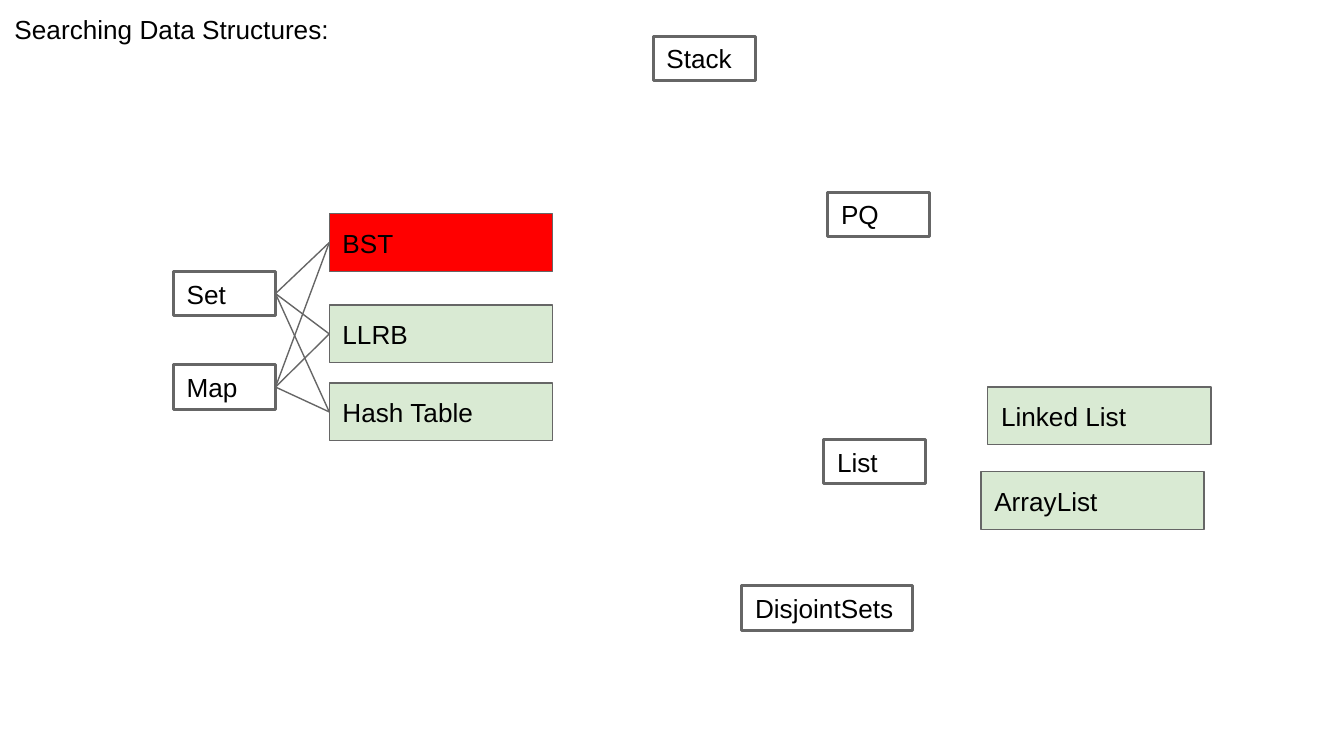
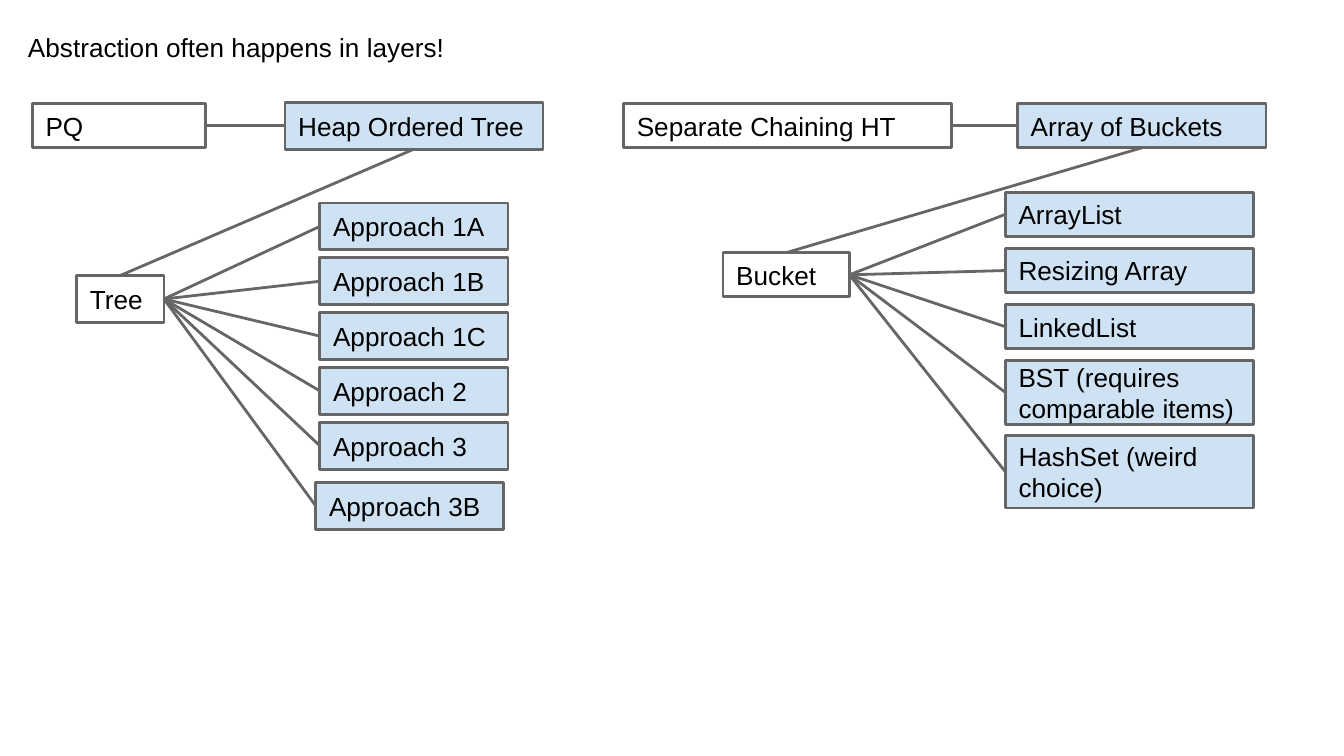
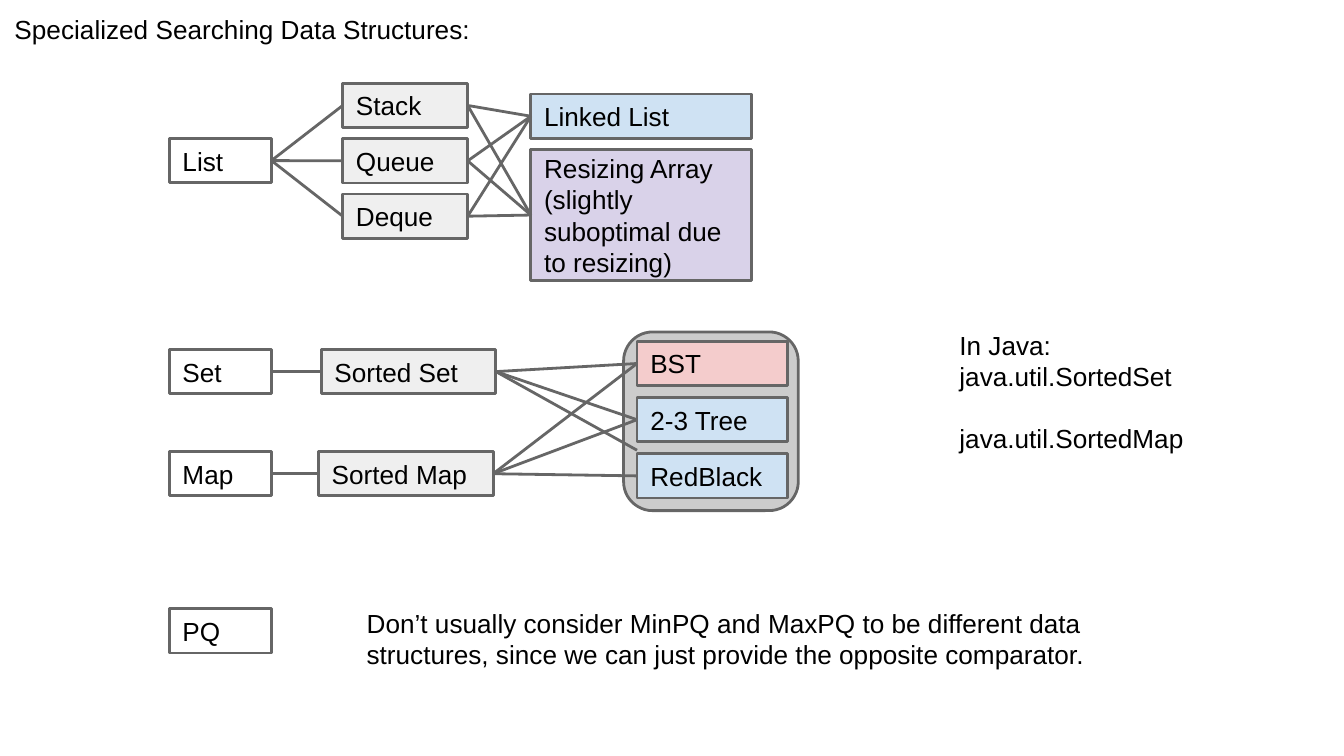
from itertools import product

from lxml.etree import SubElement
from pptx import Presentation
from pptx.dml.color import RGBColor
from pptx.enum.shapes import MSO_CONNECTOR as Connector, MSO_SHAPE as Shape
from pptx.enum.text import MSO_ANCHOR as Anchor, PP_ALIGN as Align
from pptx.oxml.ns import qn
from pptx.util import Inches, Pt

COLUMNS, ROWS = 100, 56.25
CELL = Inches(0.1)

BLACK = RGBColor(0x00, 0x00, 0x00)
WHITE = RGBColor(0xFF, 0xFF, 0xFF)
LINE_GRAY = RGBColor(0x66, 0x66, 0x66)
PANEL_GRAY = RGBColor(0xCC, 0xCC, 0xCC)
PALE_GRAY = RGBColor(0xEF, 0xEF, 0xEF)
RED = RGBColor(0xFF, 0x00, 0x00)
PINK = RGBColor(0xF4, 0xCC, 0xCC)
GREEN = RGBColor(0xD9, 0xEA, 0xD3)
BLUE = RGBColor(0xCF, 0xE2, 0xF3)
PURPLE = RGBColor(0xD9, 0xD2, 0xE9)

FONT, FONT_SIZE = "Arial", Pt(14)
BLANK_LINE = Pt(16.5)
THIN, THICK = Pt(0.75), Pt(1.5)
BOX_WIDTH, BOX_HEIGHT = 7.6, 3.3
TOP, LEFT, BOTTOM, RIGHT = range(4)


def cells(*lengths):
    return [round(length * CELL) for length in lengths]


def write(shape, lines, anchor):
    frame = shape.text_frame
    frame.word_wrap = True
    frame.vertical_anchor = anchor
    frame.margin_left = frame.margin_right = CELL
    frame.margin_top = frame.margin_bottom = CELL
    frame.text = "\n".join(lines)
    for paragraph in frame.paragraphs:
        paragraph.alignment = Align.LEFT
        paragraph.font.name = FONT
        paragraph.font.size = FONT_SIZE
        paragraph.font.color.rgb = BLACK
    return frame


def add_text(slide, lines, left, top, width, height):
    text_box = slide.shapes.add_textbox(*cells(left, top, width, height))
    return write(text_box, lines, Anchor.TOP)


def add_outlined(slide, kind, left, top, width, height, fill, weight):
    shape = slide.shapes.add_shape(kind, *cells(left, top, width, height))
    shape.shadow.inherit = False
    shape.fill.solid()
    shape.fill.fore_color.rgb = fill
    shape.line.color.rgb = LINE_GRAY
    shape.line.width = weight
    return shape


def add_box(slide, text, left, top, width=BOX_WIDTH, height=BOX_HEIGHT,
            fill=WHITE, weight=THICK):
    box = add_outlined(slide, Shape.RECTANGLE, left, top, width, height, fill, weight)
    write(box, [text], Anchor.MIDDLE)
    return box


def add_stack(slide, texts, left, top, pitch, **style):
    """Add boxes one below the other, their tops a fixed pitch apart."""
    return [add_box(slide, text, left, top + index * pitch, **style)
            for index, text in enumerate(texts)]


def add_link(slide, start, end, sides=(RIGHT, LEFT), weight=THICK):
    """Join two boxes; the end may also be a free point given in cells."""
    point = cells(*end) if isinstance(end, tuple) else (0, 0)
    link = slide.shapes.add_connector(Connector.STRAIGHT, 0, 0, *point)
    link.begin_connect(start, sides[0])
    if not isinstance(end, tuple):
        link.end_connect(end, sides[1])
    link.line.color.rgb = LINE_GRAY
    link.line.width = weight
    SubElement(link._element.spPr, qn("a:effectLst"))


def link_all(slide, starts, ends, weight=THICK):
    for start, end in product(starts, ends):
        add_link(slide, start, end, weight=weight)


def build_searching(slide):
    add_text(slide, ["Searching Data Structures:"], 0.1, 0, 31.3, 3.3)
    add_box(slide, "Stack", 48.6, 2.7)
    add_box(slide, "PQ", 61.6, 14.3)
    add_box(slide, "List", 61.3, 32.7)
    add_box(slide, "DisjointSets", 55.2, 43.6, width=12.7)
    interfaces = add_stack(slide, ["Set", "Map"], 12.9, 20.2, 6.95)

    style = {"width": 16.6, "height": 4.3, "weight": THIN}
    implementations = [
        add_box(slide, text, 24.5, top, fill=fill, **style)
        for text, top, fill in [("BST", 15.9, RED), ("LLRB", 22.7, GREEN),
                                ("Hash Table", 28.5, GREEN)]]
    add_box(slide, "Linked List", 73.5, 28.8, fill=GREEN, **style)
    add_box(slide, "ArrayList", 73, 35.1, fill=GREEN, **style)
    link_all(slide, interfaces, implementations, THIN)


def build_layers(slide):
    add_text(slide, ["Abstraction often happens in layers!"], 1.1, 1.3, 81.9, 4.1)

    queue = add_box(slide, "PQ", 2.4, 7.7, width=12.9)
    heap = add_box(slide, "Heap Ordered Tree", 21.2, 7.6, 19.2, 3.5, BLUE)
    tree = add_box(slide, "Tree", 5.7, 20.5, 6.5, 3.5)
    style = {"width": 14, "height": 3.5, "fill": BLUE}
    names = [f"Approach {number}" for number in ("1A", "1B", "1C", "2", "3")]
    approaches = add_stack(slide, names, 23.8, 15.1, 4.08, **style)
    approaches.append(add_box(slide, "Approach 3B", 23.5, 35.9, **style))

    chaining = add_box(slide, "Separate Chaining HT", 46.4, 7.7, width=24.4)
    style = {"width": 18.5, "fill": BLUE}
    array = add_box(slide, "Array of Buckets", 75.7, 7.7, **style)
    bucket = add_box(slide, "Bucket", 53.8, 18.8, width=9.4)
    choices = add_stack(slide, ["ArrayList", "Resizing Array", "LinkedList"],
                        74.8, 14.3, 4.18, **style)
    choices += [
        add_box(slide, "BST (requires comparable items)", 74.8, 26.8, height=4.8, **style),
        add_box(slide, "HashSet (weird choice)", 74.8, 32.4, height=5.4, **style)]

    for outer, layer, inner, options in [(queue, heap, tree, approaches),
                                         (chaining, array, bucket, choices)]:
        add_link(slide, outer, layer)
        add_link(slide, layer, inner, (BOTTOM, TOP))
        link_all(slide, [inner], options)


def build_specialized(slide):
    add_text(slide, ["Specialized Searching Data Structures:"], 0.1, 0, 37, 3.3)

    list_box = add_box(slide, "List", 12.6, 10.3)
    kinds = add_stack(slide, ["Stack", "Queue", "Deque"], 25.5, 6.2, 4.12,
                      width=9.3, fill=PALE_GRAY)
    storages = [
        add_box(slide, "Linked List", 39.5, 7, 16.4, fill=BLUE),
        add_box(slide, "Resizing Array (slightly suboptimal due to resizing)",
                39.5, 11.1, 16.4, 9.8, PURPLE)]
    link_all(slide, [list_box], kinds)
    link_all(slide, kinds, storages)

    set_box, map_box = add_stack(slide, ["Set", "Map"], 12.6, 26, 7.6)
    style = {"width": 13, "fill": PALE_GRAY}
    sorted_set = add_box(slide, "Sorted Set", 23.9, 26, **style)
    sorted_map = add_box(slide, "Sorted Map", 23.7, 33.6, **style)
    add_outlined(slide, Shape.ROUNDED_RECTANGLE, 46.4, 24.7, 13, 13.3, PANEL_GRAY, THICK)
    trees = add_stack(slide, ["BST", "2-3 Tree", "RedBlack"], 47.4, 25.4, 4.18,
                      width=11.2, fill=BLUE)
    trees[0].fill.fore_color.rgb = PINK
    add_link(slide, set_box, sorted_set)
    add_link(slide, map_box, sorted_map)
    link_all(slide, [sorted_set], trees[:2])
    add_link(slide, sorted_set, (47.4, 33.5))
    link_all(slide, [sorted_map], trees)

    java = add_text(slide, ["In Java:", "java.util.SortedSet", "java.util.SortedMap"],
                    70.4, 23.5, 28.5, 5)
    java.paragraphs[-1].space_before = BLANK_LINE

    add_box(slide, "PQ", 12.6, 45.3)
    add_text(slide, ["Don’t usually consider MinPQ and MaxPQ to be different data "
                     "structures, since we can just provide the opposite comparator."],
             26.3, 44.2, 63.6, 4.1)


def main():
    presentation = Presentation()
    presentation.slide_width, presentation.slide_height = cells(COLUMNS, ROWS)
    blank = presentation.slide_layouts[6]
    for build in (build_searching, build_layers, build_specialized):
        build(presentation.slides.add_slide(blank))
    presentation.save("out.pptx")


if __name__ == "__main__":
    main()
